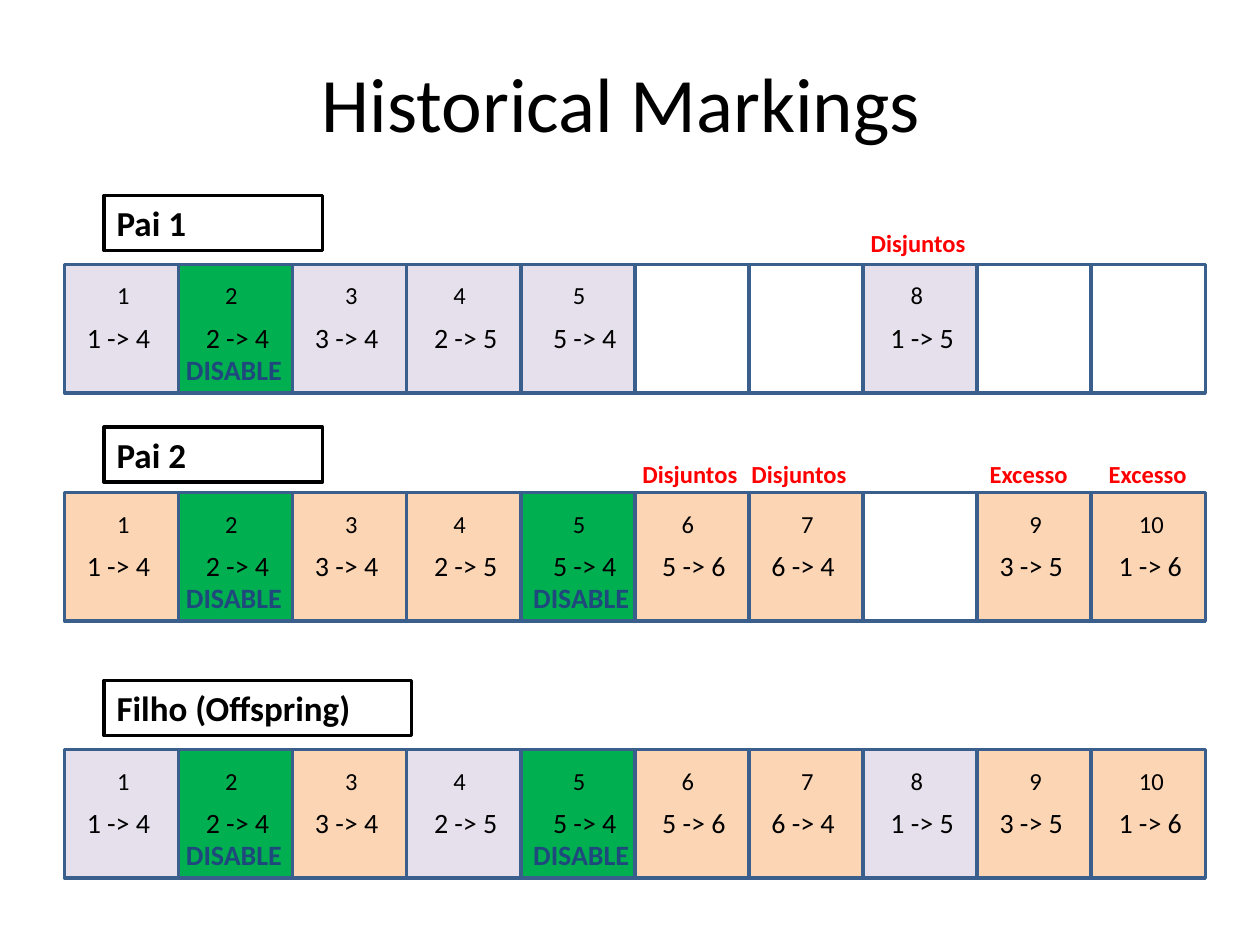
from pptx import Presentation
from pptx.dml.color import RGBColor as Rgb
from pptx.enum.shapes import MSO_SHAPE as Geo
from pptx.enum.text import MSO_ANCHOR as Anchor, MSO_AUTO_SIZE as Fit, PP_ALIGN as Align
from pptx.util import Cm, Pt

HUES = {"lilac": "E6E0EC", "peach": "FCD5B5", "green": "00B050", "white": "FFFFFF",
        "edge": "3A5F8C", "black": "000000", "navy": "1F497D", "red": "FF0000"}
CODES = {"L": "lilac", "P": "peach", "G": "green", ".": "white"}

LEFT, STEP, TALL = 1.3, 2.3, 2.59
GENES = ["1 -> 4", "2 -> 4", "3 -> 4", "2 -> 5", "5 -> 4",
         "5 -> 6", "6 -> 4", "1 -> 5", "3 -> 5", "1 -> 6"]
NUM_X = [2.11, 4.29, 6.71, 8.89, 11.3, 13.49, 15.9, 18.11, 20.5, 22.71]
GENE_X = [1.5, 3.9, 6.1, 8.5, 10.9, 13.1, 15.3, 17.7, 19.9, 22.3]
OFF_X = {1: 3.5, 4: 10.5}
TAG_X = {5: 12.7, 6: 14.9, 7: 17.3, 8: 19.7, 9: 22.1}

# name, name top, name width, row top, cell codes, tag top, tags by column
ROWS = [
    ("Pai 1", 3.94, 4.4, 5.33, "LGLLL..L..", 4.47, {7: "Disjuntos"}),
    ("Pai 2", 8.61, 4.4, 9.93, "PGPPGPP.PP", 9.12,
     {5: "Disjuntos", 6: "Disjuntos", 8: "Excesso", 9: "Excesso"}),
    ("Filho (Offspring)", 13.72, 6.2, 15.11, "LGPLGPPLPP", 0, {}),
]


class Deck:
    font = "Calibri"

    def __init__(self):
        self.prs = Presentation()
        self.prs.slide_width, self.prs.slide_height = Cm(25.4), Cm(19.05)
        self.slide = self.prs.slides.add_slide(self.prs.slide_layouts[5])

    def put(self, frame, text, size, hue="black", bold=False, align=Align.LEFT):
        """Add one styled run to the first paragraph of a frame."""
        par = frame.paragraphs[0]
        par.alignment = align
        run = par.add_run()
        run.text = text
        run.font.name, run.font.size, run.font.bold = self.font, Pt(size), bold
        run.font.color.rgb = Rgb.from_string(HUES[hue])

    def title(self, text):
        box = self.slide.shapes.title
        box.left, box.top, box.width, box.height = Cm(1.27), Cm(0.76), Cm(22.86), Cm(2.57)
        box.text_frame.vertical_anchor = Anchor.MIDDLE
        self.put(box.text_frame, text, 44, align=Align.CENTER)

    def rect(self, x, y, w, h, fill, edge):
        box = self.slide.shapes.add_shape(Geo.RECTANGLE, Cm(x), Cm(y), Cm(w), Cm(h))
        box.shadow.inherit = False
        box.fill.solid()
        box.fill.fore_color.rgb = Rgb.from_string(HUES[fill])
        box.line.color.rgb = Rgb.from_string(HUES[edge])
        box.line.width = Pt(2)
        return box

    def label(self, x, y, w, text):
        frame = self.rect(x, y, w, 1.11, "white", "black").text_frame
        frame.word_wrap = True
        frame.auto_size = Fit.SHAPE_TO_FIT_TEXT
        frame.vertical_anchor = Anchor.TOP
        self.put(frame, text, 20, bold=True)

    def text(self, x, y, w, h, text, size, hue="black", bold=False):
        frame = self.slide.shapes.add_textbox(Cm(x), Cm(y), Cm(w), Cm(h)).text_frame
        frame.word_wrap = True
        frame.auto_size = Fit.SHAPE_TO_FIT_TEXT
        self.put(frame, text, size, hue, bold)

    def genome(self, top, codes):
        """Draw a row of cells, then the number and link of each gene present."""
        for col, code in enumerate(codes):
            self.rect(LEFT + col * STEP, top, STEP, TALL, CODES[code], "edge")
        for col, code in enumerate(codes):
            if code == ".":
                continue
            num = str(col + 1)
            self.text(NUM_X[col], top + 0.2, 0.6 * len(num), 0.86, num, 14)
            self.text(GENE_X[col], top + 1, 1.81, 0.94, GENES[col], 16)
            if code == "G":
                self.text(OFF_X[col], top + 1.65, 3, 0.94, "DISABLE", 16, "navy", True)


def main():
    deck = Deck()
    deck.title("Historical Markings ")
    for name, head, wide, top, codes, high, tags in ROWS:
        deck.genome(top, codes)
        for col, tag in tags.items():
            deck.text(TAG_X[col], high, 3.2, 0.86, tag, 14, "red", True)
        deck.label(2.1, head, wide, name)
    deck.prs.save("out.pptx")


if __name__ == "__main__":
    main()
